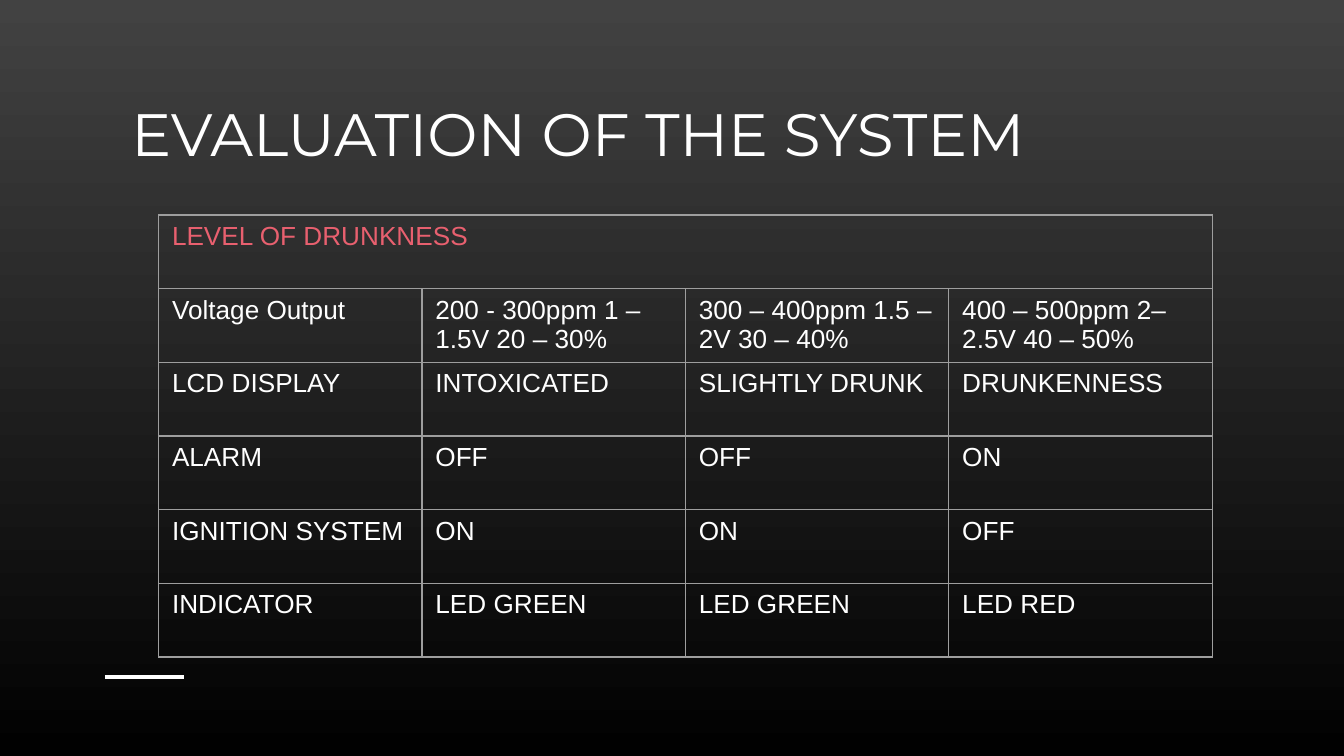
from lxml import etree
from pptx import Presentation
from pptx import util as u
from pptx.dml.color import RGBColor
from pptx.enum import shapes, text
from pptx.oxml import parse_xml
from pptx.oxml.ns import nsdecls, qn

WHITE, ROSE, GREY = "FFFFFF", "E8606F", "9E9E9E"
BORDER_PT = 0.75

LEVELS = [
    ["LEVEL OF DRUNKNESS", "", "", ""],
    ["Voltage Output", "200 - 300ppm 1 – 1.5V 20 – 30%",
     "300 – 400ppm 1.5 – 2V 30 – 40%", "400 – 500ppm 2– 2.5V 40 – 50%"],
    ["LCD DISPLAY", "INTOXICATED", "SLIGHTLY DRUNK", "DRUNKENNESS"],
    ["ALARM", "OFF", "OFF", "ON"],
    ["IGNITION SYSTEM", "ON", "ON", "OFF"],
    ["INDICATOR", "LED GREEN", "LED GREEN", "LED RED"],
]


def rgb(color):
    return RGBColor.from_string(color)


def write(tf, words, font, size, color):
    p = tf.paragraphs[0]
    p.alignment = text.PP_ALIGN.LEFT
    r = p.add_run()
    r.text = words
    for name, value in {"name": font, "size": u.Pt(size)}.items():
        setattr(r.font, name, value)
    r.font.color.rgb = rgb(color)


def add_background(s, top, bottom):
    fill = s.background.fill
    fill.gradient()
    fill.gradient_angle = 270
    for stop, color in zip(fill.gradient_stops, (top, bottom)):
        stop.color.rgb = rgb(color)


def add_accent(s, x, y, w):
    line = s.shapes.add_connector(
        shapes.MSO_CONNECTOR.STRAIGHT,
        u.Inches(x), u.Inches(y), u.Inches(x + w), u.Inches(y))
    line.line.color.rgb = rgb(WHITE)
    line.line.width = u.Pt(2.25)
    etree.SubElement(line._element.spPr, qn("a:effectLst"))


def add_title(s, x, y, w, h, words):
    tf = s.shapes.add_textbox(*map(u.Inches, (x, y, w, h))).text_frame
    layout = {"word_wrap": True, "vertical_anchor": text.MSO_ANCHOR.MIDDLE}
    layout |= {f"margin_{side}": u.Inches(0.1)
               for side in ("left", "right", "top", "bottom")}
    for name, value in layout.items():
        setattr(tf, name, value)
    write(tf, words, "Montserrat", 32, WHITE)


def set_borders(cell):
    tcPr = cell._tc.get_or_add_tcPr()
    for side in "LRTB":
        tcPr.append(parse_xml(
            f'<a:ln{side} {nsdecls("a")} w="{u.Pt(BORDER_PT)}"><a:solidFill>'
            f'<a:srgbClr val="{GREY}"/></a:solidFill></a:ln{side}>'))


def add_levels_table(s, x, y, w, h, rows):
    """Draw an even grid whose first row is one merged heading."""
    n_rows, n_cols = len(rows), len(rows[0])
    table = s.shapes.add_table(
        n_rows, n_cols, *map(u.Inches, (x, y, w, h))).table
    table.first_row = table.horz_banding = False
    table.cell(0, 0).merge(table.cell(0, n_cols - 1))
    for i, row in enumerate(rows):
        for j, words in enumerate(row):
            cell = table.cell(i, j)
            set_borders(cell)
            cell.fill.background()
            cell.margin_bottom = u.Inches(0.02)
            if words:
                write(cell.text_frame, words, "Arial", 14, WHITE if i else ROSE)


def main():
    prs = Presentation()
    prs.slide_width = u.Inches(10)
    prs.slide_height = prs.slide_width * 9 // 16
    s = prs.slides.add_slide(prs.slide_layouts[6])
    add_background(s, "424242", "010101")
    add_accent(s, 0.78, 5.04, 0.59)
    add_title(s, 0.88, 0.62, 8.44, 0.73, "EVALUATION OF THE SYSTEM")
    add_levels_table(s, 1.18, 1.6, 7.84, 3.29, LEVELS)
    prs.save("out.pptx")


if __name__ == "__main__":
    main()
